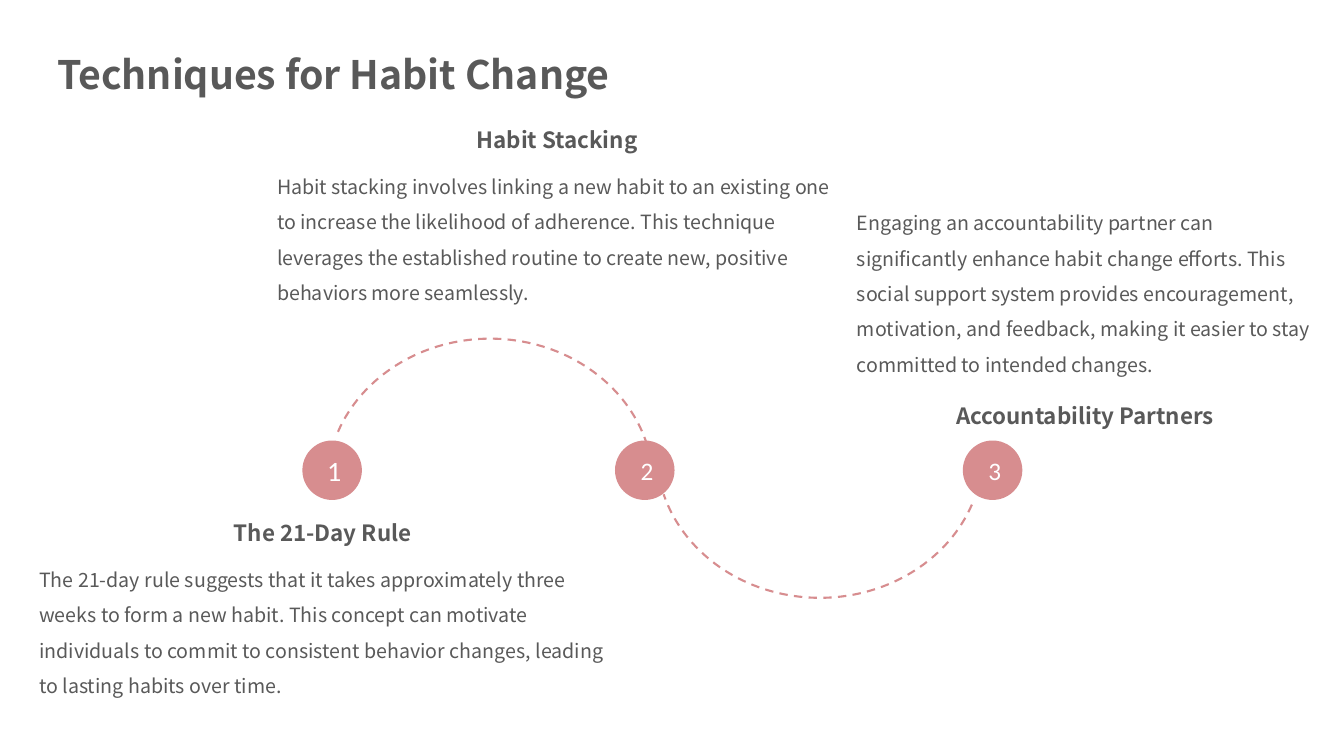
from dataclasses import dataclass

from pptx import Presentation
from pptx.dml.color import RGBColor
from pptx.enum.dml import MSO_LINE
from pptx.enum.shapes import MSO_SHAPE
from pptx.enum.text import MSO_ANCHOR, MSO_AUTO_SIZE, PP_ALIGN
from pptx.util import Inches, Pt

SLIDE_WIDTH, SLIDE_HEIGHT = Inches(13.33), Inches(7.5)
WHITE, ROSE, GREY = "FFFFFF", "D78D8F", "595959"
HEADING_FONT, NUMBER_FONT = "Noto Sans CJK SC", "Calibri"
ARC_ANGLES = (119.625, 206.73)


@dataclass(frozen=True)
class Area:
    """Left and width in percent of the slide width, top and height of its height."""
    left: float
    top: float
    width: float
    height: float

    def lengths(self) -> tuple[int, int, int, int]:
        return (int(SLIDE_WIDTH * self.left / 100), int(SLIDE_HEIGHT * self.top / 100),
                int(SLIDE_WIDTH * self.width / 100), int(SLIDE_HEIGHT * self.height / 100))


@dataclass(frozen=True)
class TextStyle:
    size: float
    color: str = GREY
    font: str = HEADING_FONT
    bold: bool = False
    alignment: PP_ALIGN = PP_ALIGN.LEFT
    line_spacing: float = 1.0
    space_share: float = 0.0


@dataclass(frozen=True)
class TextBlock:
    text: str
    area: Area
    style: TextStyle
    anchor: MSO_ANCHOR = MSO_ANCHOR.TOP


@dataclass(frozen=True)
class Step:
    number: str
    left: float
    size: int


@dataclass(frozen=True)
class Arc:
    area: Area
    rotation: int


TITLE = TextStyle(28, bold=True)
HEADING = TextStyle(16, bold=True, alignment=PP_ALIGN.CENTER, line_spacing=1.2, space_share=0.2)
BODY = TextStyle(14, line_spacing=1.5, space_share=0.2)

BLOCKS = [
    TextBlock("Techniques for Habit Change", Area(3.53, 6, 70.89, 7.6), TITLE),
    TextBlock("The 21-day rule suggests that it takes approximately three weeks to form a new "
              "habit. This concept can motivate individuals to commit to consistent behavior "
              "changes, leading to lasting habits over time.",
              Area(2.18, 72.93, 43.66, 11.07), BODY),
    TextBlock("The 21-Day Rule", Area(2.18, 67.33, 43.66, 5.33), HEADING),
    TextBlock("Engaging an accountability partner can significantly enhance habit change "
              "efforts. This social support system provides encouragement, motivation, and "
              "feedback, making it easier to stay committed to intended changes.",
              Area(63.02, 30, 35.41, 20.4), BODY, MSO_ANCHOR.BOTTOM),
    TextBlock("Accountability Partners", Area(63.02, 51.87, 35.41, 5.33), HEADING),
    TextBlock("Habit stacking involves linking a new habit to an existing one to increase the "
              "likelihood of adherence. This technique leverages the established routine to "
              "create new, positive behaviors more seamlessly.",
              Area(19.88, 20.93, 43.14, 11.07), BODY),
    TextBlock("Habit Stacking", Area(19.88, 15.6, 43.14, 5.33), HEADING, MSO_ANCHOR.BOTTOM),
]
STEPS = [Step("1", 22.5, 20), Step("2", 45.76, 18), Step("3", 71.64, 18)]
ARCS = [Arc(Area(24.31, 44.8, 24.31, 38.8), 0), Arc(Area(48.84, 40.27, 24.31, 38.8), 180)]


def color(value: str) -> RGBColor:
    return RGBColor.from_string(value)


def apply(target, formats: dict) -> None:
    for name, value in formats.items():
        setattr(target, name, value)


def write_text(shape, text: str, style: TextStyle, frame_formats: dict) -> None:
    apply(shape.text_frame, frame_formats)
    paragraph = shape.text_frame.paragraphs[0]
    apply(paragraph, {"alignment": style.alignment, "line_spacing": style.line_spacing,
                      "space_before": Pt(style.size * style.space_share)})
    run = paragraph.add_run()
    run.text = text
    apply(run.font, {"name": style.font, "size": Pt(style.size), "bold": style.bold})
    run.font.color.rgb = color(style.color)


def add_filled(shapes, kind: MSO_SHAPE, area: Area, fill: str):
    shape = shapes.add_shape(kind, *area.lengths())
    shape.shadow.inherit = False
    shape.fill.solid()
    shape.fill.fore_color.rgb = color(fill)
    shape.line.fill.background()
    return shape


def add_arc(slide, arc: Arc) -> None:
    shape = add_filled(slide.shapes, MSO_SHAPE.ARC, arc.area, WHITE)
    for index, angle in enumerate(ARC_ANGLES):
        shape.adjustments[index] = angle
    shape.rotation = arc.rotation
    shape.line.color.rgb = color(ROSE)
    apply(shape.line, {"width": Pt(1.5), "dash_style": MSO_LINE.DASH})


def add_step(slide, step: Step) -> None:
    group = slide.shapes.add_group_shape()
    add_filled(group.shapes, MSO_SHAPE.OVAL, Area(step.left, 58.27, 4.43, 7.87), ROSE)
    label = add_filled(group.shapes, MSO_SHAPE.RECTANGLE,
                       Area(step.left + 1.03, 59.6, 2.7, 5.33), ROSE)
    style = TextStyle(step.size, WHITE, NUMBER_FONT, alignment=PP_ALIGN.CENTER)
    write_text(label, step.number, style, {
        "vertical_anchor": MSO_ANCHOR.MIDDLE, "word_wrap": True,
        "margin_left": 0, "margin_right": 0})


def add_block(slide, block: TextBlock) -> None:
    box = slide.shapes.add_textbox(*block.area.lengths())
    write_text(box, block.text, block.style, {
        "word_wrap": True, "auto_size": MSO_AUTO_SIZE.SHAPE_TO_FIT_TEXT,
        "vertical_anchor": block.anchor})


def main() -> None:
    presentation = Presentation()
    apply(presentation, {"slide_width": SLIDE_WIDTH, "slide_height": SLIDE_HEIGHT})
    slide = presentation.slides.add_slide(presentation.slide_layouts[6])

    # Dashed wave with its numbered steps
    first_arc, second_arc = ARCS
    add_arc(slide, first_arc)
    for step in STEPS:
        add_step(slide, step)
    add_arc(slide, second_arc)

    # Title, headings and explanations
    for block in BLOCKS:
        add_block(slide, block)

    presentation.save("out.pptx")


if __name__ == "__main__":
    main()
